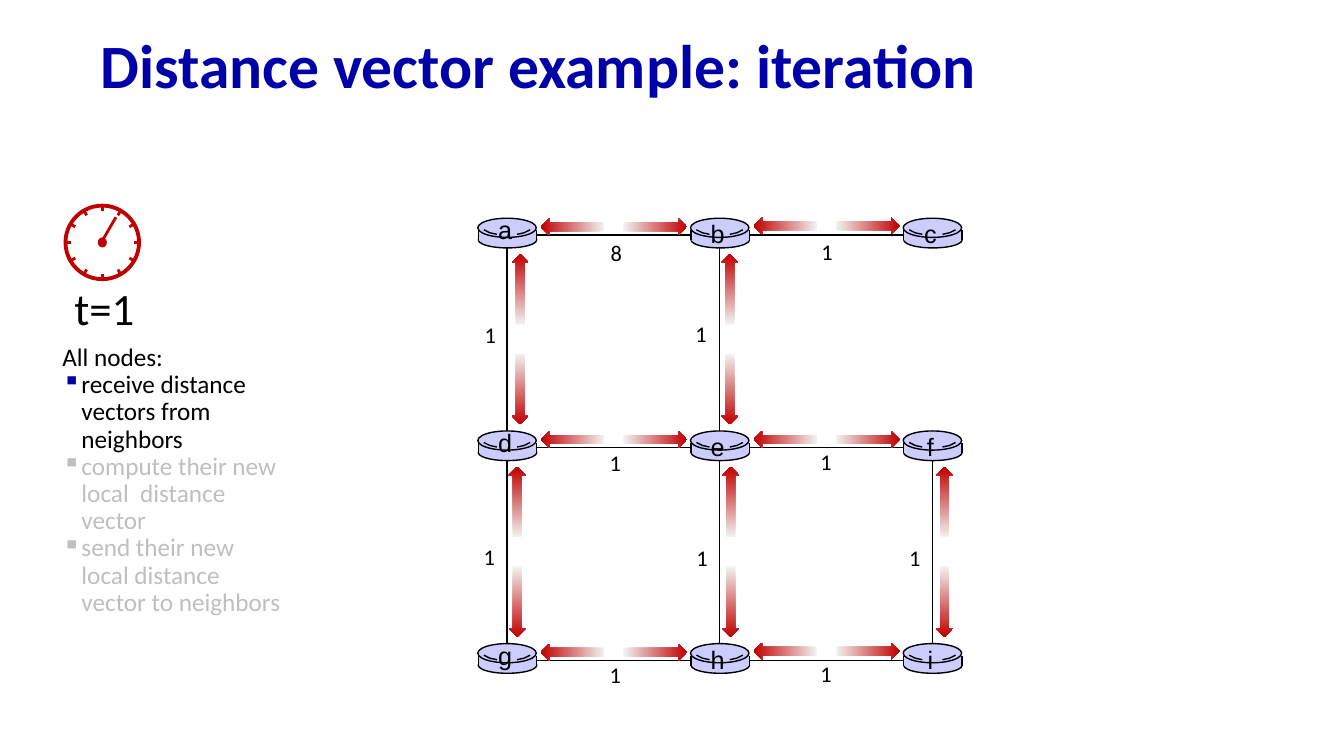
import math
from dataclasses import dataclass

import lxml.etree
import pptx
import pptx.dml.color
import pptx.enum.shapes
import pptx.enum.text
import pptx.oxml.ns
import pptx.util

CELL = 0.1
COLS, ROWS = 133.33, 75
LEFT, TOP, STEP = 50.3, 23.3, 21.1
INKS = {
    "navy": "0000A8", "black": "000000", "grey": "BFBFBF",
    "red": "C00000", "pale": "F2F2F2", "lilac": "CCCCFF",
}
KIND = pptx.enum.shapes.MSO_SHAPE
ALIGN = pptx.enum.text.PP_ALIGN
ANCHOR = pptx.enum.text.MSO_ANCHOR


@dataclass(frozen=True)
class Node:
    name: str
    col: int
    row: int
    lift: float = 0

    @property
    def x(self) -> float:
        return LEFT + STEP * self.col

    @property
    def y(self) -> float:
        return TOP + STEP * self.row


@dataclass(frozen=True)
class Link:
    start: str
    end: str
    cost: str
    tag: tuple[float, float]
    shift: float


@dataclass(frozen=True)
class Line:
    text: str
    ink: str
    mark: str = ""


NODES = {
    name: Node(name, i % 3, i // 3, 0 if i % 3 else 0.4)
    for i, name in enumerate("abcdefghi")
}
LINKS = [
    Link("a", "b", "8", (9.3, -0.1), -0.8),
    Link("b", "c", "1", (9.1, -0.2), -0.9),
    Link("d", "e", "1", (9.2, -0.3), -0.8),
    Link("e", "f", "1", (9, -0.4), -0.8),
    Link("g", "h", "1", (9.2, -0.4), -0.8),
    Link("h", "i", "1", (9, -0.5), -0.9),
    Link("a", "d", "1", (-3.2, 8.1), 1.3),
    Link("b", "e", "1", (-3.4, 8), 1),
    Link("d", "g", "1", (-3.3, 9), 1),
    Link("e", "h", "1", (-3.3, 9.1), 1.1),
    Link("f", "i", "1", (-3.3, 9.1), 1.2),
]
TASKS = [
    Line("All nodes:", "black"),
    Line("receive distance vectors from neighbors", "black", "navy"),
    Line("compute their new local  distance vector", "grey", "grey"),
    Line("send their new local distance vector to neighbors", "grey", "grey"),
]

deck = pptx.Presentation()


def span(cells: float) -> int:
    return pptx.util.Inches(cells * CELL)


def ink(name: str) -> pptx.dml.color.RGBColor:
    return pptx.dml.color.RGBColor.from_string(INKS[name])


deck.slide_width, deck.slide_height = span(COLS), span(ROWS)
slide = deck.slides.add_slide(deck.slide_layouts[6])
shapes = slide.shapes


def stroke(x1: float, y1: float, x2: float, y2: float,
           tint: str = "black", width: float = 1) -> None:
    wire = shapes.add_connector(pptx.enum.shapes.MSO_CONNECTOR.STRAIGHT,
                                span(x1), span(y1), span(x2), span(y2))
    wire.line.color.rgb = ink(tint)
    wire.line.width = pptx.util.Pt(width)
    lxml.etree.SubElement(wire._element.spPr, pptx.oxml.ns.qn("a:effectLst"))


def form(kind: KIND, x: float, y: float, w: float, h: float,
         fill: str = "", edge: str = "", width: float = 1):
    item = shapes.add_shape(kind, span(x), span(y), span(w), span(h))
    item.shadow.inherit = False
    if fill:
        item.fill.solid()
        item.fill.fore_color.rgb = ink(fill)
    else:
        item.fill.background()
    if edge:
        item.line.color.rgb = ink(edge)
        item.line.width = pptx.util.Pt(width)
    else:
        item.line.fill.background()
    return item


def write(x: float, y: float, w: float, h: float, lines: list[Line],
          size: float, face: str = "Calibri", bold: bool = False,
          wrap: bool = False, align: ALIGN = ALIGN.LEFT,
          pace: float = 1, anchor: ANCHOR = ANCHOR.TOP) -> None:
    frame = shapes.add_textbox(span(x), span(y), span(w), span(h)).text_frame
    frame.word_wrap = wrap
    frame.vertical_anchor = anchor
    for i, line in enumerate(lines):
        para = frame.add_paragraph() if i else frame.paragraphs[0]
        para.alignment = align
        para.line_spacing = pace
        run = para.add_run()
        run.text = line.text
        run.font.size = pptx.util.Pt(size)
        run.font.name = face
        run.font.bold = bold
        run.font.color.rgb = ink(line.ink)
        if line.mark:
            mark(para, line.mark)


def mark(para, tint: str) -> None:
    qn = pptx.oxml.ns.qn
    props = para._p.get_or_add_pPr()
    props.set("marL", str(span(1.9)))
    props.set("indent", str(span(-1.9)))
    hue = lxml.etree.SubElement(props, qn("a:buClr"))
    lxml.etree.SubElement(hue, qn("a:srgbClr")).set("val", INKS[tint])
    lxml.etree.SubElement(props, qn("a:buChar")).set("char", "▪")


def arrow(x: float, y: float, size: float, turn: float) -> None:
    item = form(KIND.RIGHT_ARROW, x - size / 2, y - 0.85, size, 1.7)
    item.rotation = turn
    item.fill.gradient()
    item.fill.gradient_angle = 0
    for stop, tint in zip(item.fill.gradient_stops, ("pale", "red")):
        stop.color.rgb = ink(tint)


def clock(x: float, y: float) -> None:
    form(KIND.OVAL, x - 3.65, y - 3.65, 7.3, 7.3, edge="red", width=2.75)
    for hour in range(12):
        turn = math.radians(30 * hour)
        dx, dy = math.cos(turn), math.sin(turn)
        stroke(x + 3.1 * dx, y + 3.1 * dy, x + 3.7 * dx, y + 3.7 * dy, "red", 2)
    form(KIND.OVAL, x - 0.45, y - 0.5, 0.9, 1, "red")
    stroke(x + 1.35, y - 2.5, x - 0.15, y + 0.1, "red", 2)


def join(link: Link) -> None:
    start, end = NODES[link.start], NODES[link.end]
    stroke(start.x, start.y, end.x, end.y)
    write(start.x + link.tag[0], start.y + link.tag[1], 3.3, 3.7,
          [Line(link.cost, "black")], 16)
    if start.row == end.row:
        for gap, turn in ((6.5, 180), (14.7, 0)):
            arrow(start.x + gap, start.y + link.shift, 6.3, turn)
    else:
        for gap, turn in ((5.4, 270), (15.3, 90)):
            arrow(start.x + link.shift, start.y + gap, 7, turn)


def router(node: Node) -> None:
    x, y = node.x, node.y
    form(KIND.OVAL, x - 2.85, y - 0.3, 5.8, 1.6, "lilac", "black")
    form(KIND.RECTANGLE, x - 2.85, y - 0.45, 5.75, 1, "lilac")
    for side in (-2.85, 2.95):
        stroke(x + side, y - 0.45, x + side, y + 0.55)
    form(KIND.OVAL, x - 2.9, y - 1.65, 5.8, 1.9, "lilac", "black")
    for side in (-1, 1):
        pen = shapes.build_freeform(span(x + 2.3 * side), span(y - 0.5))
        pen.add_line_segments([(span(x + 1.7 * side), span(y - 0.2)),
                               (span(x + 1 * side), span(y - 0.05))], close=False)
        curve = pen.convert_to_shape()
        curve.shadow.inherit = False
        curve.fill.background()
        curve.line.color.rgb = ink("black")
        curve.line.width = pptx.util.Pt(1)
    write(x - 1.9, y - 2.1 - node.lift, 3.4, 4, [Line(node.name, "black")],
          18, "Arial", align=ALIGN.CENTER)


write(9, 1.9, 115, 9.8, [Line("Distance vector example: iteration", "navy")],
      44, bold=True, wrap=True, pace=0.9, anchor=ANCHOR.MIDDLE)
write(5.2, 33.7, 24, 28.3, TASKS, 18, wrap=True, pace=0.9)
write(6.4, 27.4, 8.1, 6.4, [Line("t=1", "black")], 32)
clock(10.15, 24.05)
for link in LINKS:
    join(link)
for node in NODES.values():
    router(node)
deck.save("out.pptx")
